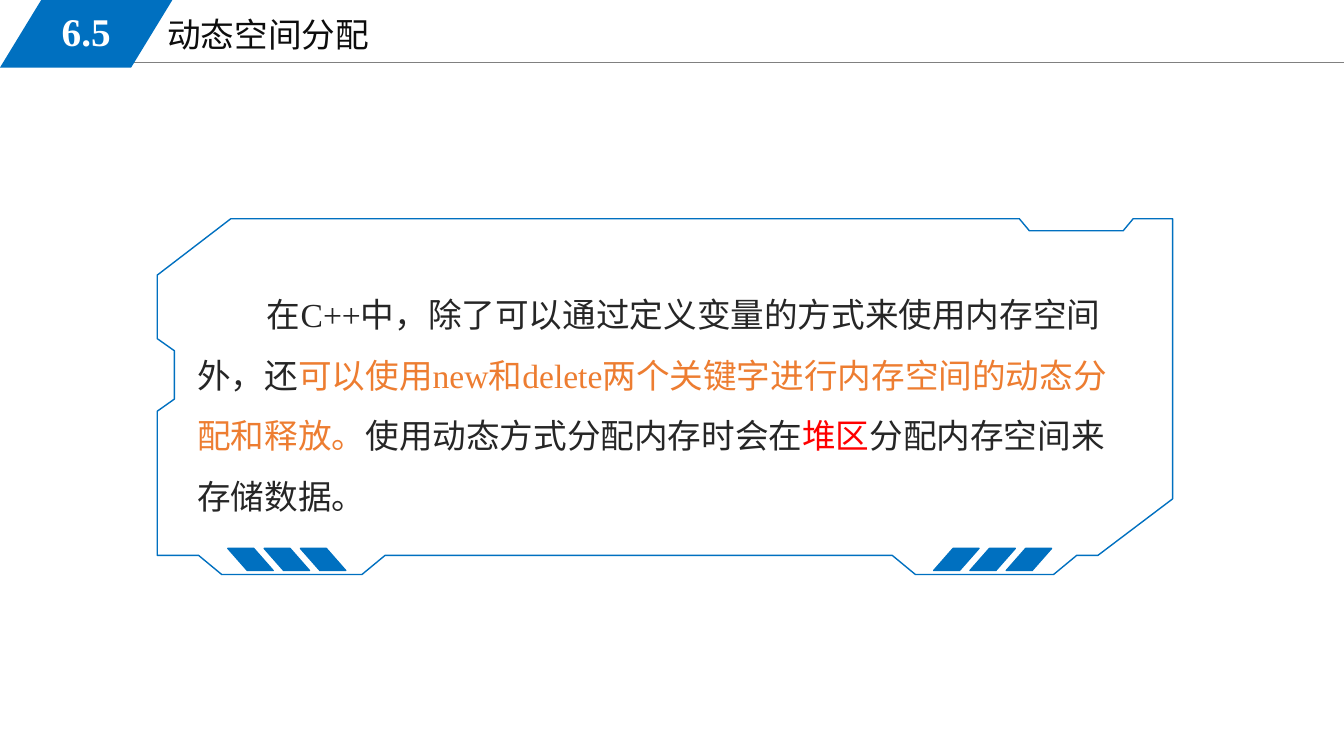
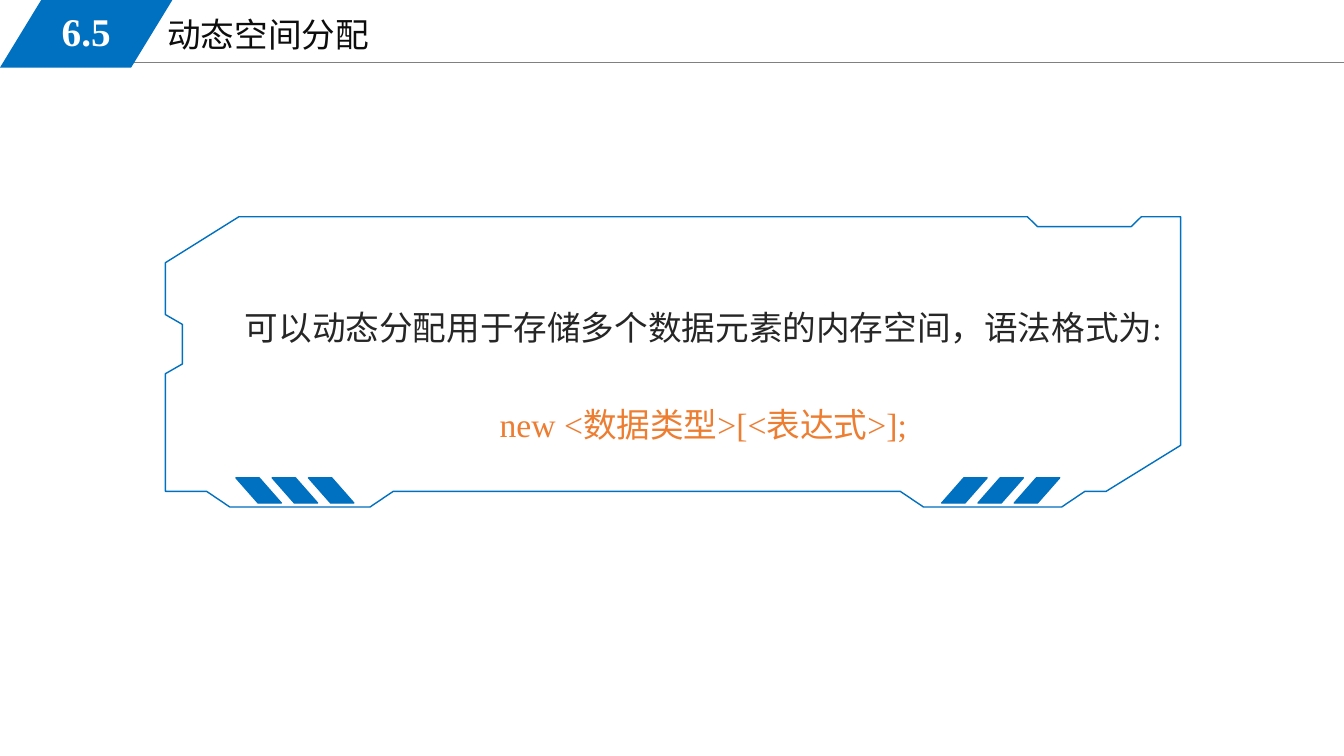
import lxml.etree
import pptx
import pptx.dml.color
import pptx.enum.shapes
import pptx.enum.text
import pptx.oxml.ns
import pptx.util

Inches = pptx.util.Inches
Pt = pptx.util.Pt
Kind = pptx.enum.shapes.MSO_SHAPE
Align = pptx.enum.text.PP_ALIGN
Anchor = pptx.enum.text.MSO_ANCHOR

COLORS = {
    "blue": "0070C0",
    "rule": "808080",
    "title": "0D0D0D",
    "text": "262626",
    "orange": "ED7D31",
    "red": "FF0000",
    "white": "FFFFFF",
}
FONT = "Times New Roman"
WIDTH = 13.33
BASE = 3.53
OUTLINE = [
    (0.73, 0), (8.55, 0), (8.65, 0.12), (9.58, 0.12), (9.68, 0), (10.07, 0),
    (10.07, 2.78), (9.33, 3.34), (9.12, 3.34), (8.89, 3.53), (7.52, 3.53),
    (7.29, 3.34), (2.26, 3.34), (2.03, 3.53), (0.64, 3.53), (0.41, 3.34),
    (0, 3.34), (0, 1.91), (0.17, 1.79), (0.17, 1.31), (0, 1.19), (0, 0.56),
]


def rgb(name):
    return pptx.dml.color.RGBColor.from_string(COLORS[name])


def style(run, color, size=24, bold=False):
    font = run.font
    font.name = FONT
    font.size = Pt(size)
    font.bold = bold
    font.color.rgb = rgb(color)


def fill(para, parts):
    for text, color in parts:
        run = para.add_run()
        run.text = text
        style(run, color)


def place(shape, x, y, w, h):
    shape.left, shape.top = Inches(x), Inches(y)
    shape.width, shape.height = Inches(w), Inches(h)


def slant(slide, x, y, w, h, adj, flip=False):
    shape = slide.shapes.add_shape(
        Kind.PARALLELOGRAM, Inches(x), Inches(y), Inches(w), Inches(h))
    shape.shadow.inherit = False
    shape.adjustments[0] = adj
    shape.fill.solid()
    shape.fill.fore_color.rgb = rgb("blue")
    shape.line.color.rgb = rgb("blue")
    shape.line.width = Pt(1)
    if flip:
        shape.element.spPr.xfrm.set("flipH", "1")
    return shape


def rule(slide, x, y, end):
    line = slide.shapes.add_connector(
        pptx.enum.shapes.MSO_CONNECTOR.STRAIGHT,
        Inches(x), Inches(y), Inches(end), Inches(y))
    line.line.color.rgb = rgb("rule")
    line.line.width = Pt(0.75)
    lxml.etree.SubElement(
        line.element.spPr, pptx.oxml.ns.qn("a:effectLst"))
    return line


def badge(slide, text):
    box = slide.shapes.add_textbox(0, 0, 0, 0)
    place(box, 0.25, 0.02, 1.21, 0.58)
    frame = box.text_frame
    frame.word_wrap = True
    frame.vertical_anchor = Anchor.MIDDLE
    frame.text = text
    frame.paragraphs[0].alignment = Align.CENTER
    style(frame.paragraphs[0].runs[0], "white", 28, True)
    return box


def setup(layout):
    for holder in list(layout.placeholders):
        if holder.placeholder_format.idx:
            holder.element.getparent().remove(holder.element)
    title = layout.placeholders[0]
    place(title, 1.56, 0.09, 5.67, 0.51)
    title.text_frame.vertical_anchor = Anchor.TOP
    title.text_frame.auto_size = pptx.enum.text.MSO_AUTO_SIZE.NONE


def header(layout, slide):
    band = slant(slide, 0, 0, 1.71, 0.67, 0.61)
    band.line.fill.background()
    for shape in (rule(slide, 1.13, 0.62, WIDTH), band, badge(slide, "6.5")):
        layout.shapes.element.append(shape.element)


def page(deck, layout):
    slide = deck.slides.add_slide(layout)
    title = slide.shapes.title
    title.text_frame.text = "动态空间分配"
    para = title.text_frame.paragraphs[0]
    para.alignment = Align.LEFT
    style(para.runs[0], "title")
    return slide


def panel(slide, x, y, h, bar, tall):
    pts = [(Inches(x + dx), Inches(y + dy * h / BASE)) for dx, dy in OUTLINE]
    path = slide.shapes.build_freeform(*pts[0])
    path.add_line_segments(pts[1:], close=True)
    shape = path.convert_to_shape()
    shape.shadow.inherit = False
    shape.fill.background()
    shape.line.color.rgb = rgb("blue")
    shape.line.width = Pt(1)
    for start, flip in ((0.7, True), (7.7, False)):
        for i in range(3):
            slant(slide, x + start + i * 0.36, bar, 0.45, tall, 0.88, flip)


def prose(slide, spot, paras, space, align=Align.LEFT, gap=0):
    box = slide.shapes.add_textbox(0, 0, 0, 0)
    place(box, *spot)
    frame = box.text_frame
    frame.word_wrap = True
    for i, parts in enumerate(paras):
        para = frame.add_paragraph() if i else frame.paragraphs[0]
        para.alignment = align
        para.line_spacing = space
        if i:
            para.space_before = Pt(gap)
        props = para._p.get_or_add_pPr()
        props.set("marL", "0")
        props.set("indent", str(Inches(0.69)))
        fill(para, parts)


def main():
    deck = pptx.Presentation()
    deck.slide_width, deck.slide_height = Inches(WIDTH), Inches(7.5)
    layout = deck.slide_layouts[5]
    setup(layout)

    slide = page(deck, layout)
    header(layout, slide)
    prose(slide, (1.86, 2.67, 9.47, 2.52), [[
        ("在C++中，除了可以通过定义变量的方式来使用内存空间外，还", "text"),
        ("可以使用new和delete两个关键字进行内存空间的动态分配和释放。", "orange"),
        ("使用动态方式分配内存时会在", "text"),
        ("堆区", "red"),
        ("分配内存空间来存储数据。", "text"),
    ]], 1.5)
    panel(slide, 1.56, 2.17, BASE, 5.44, 0.22)

    slide = page(deck, layout)
    prose(slide, (1.59, 2.92, 10.08, 1.51), [
        [("可以动态分配用于存储多个数据元素的内存空间，语法格式为:", "text")],
        [("new <数据类型>[<表达式>];", "orange")],
    ], 1.2, Align.CENTER, 34.5)
    panel(slide, 1.64, 2.15, 2.88, 4.74, 0.25)

    deck.save("out.pptx")


if __name__ == "__main__":
    main()
